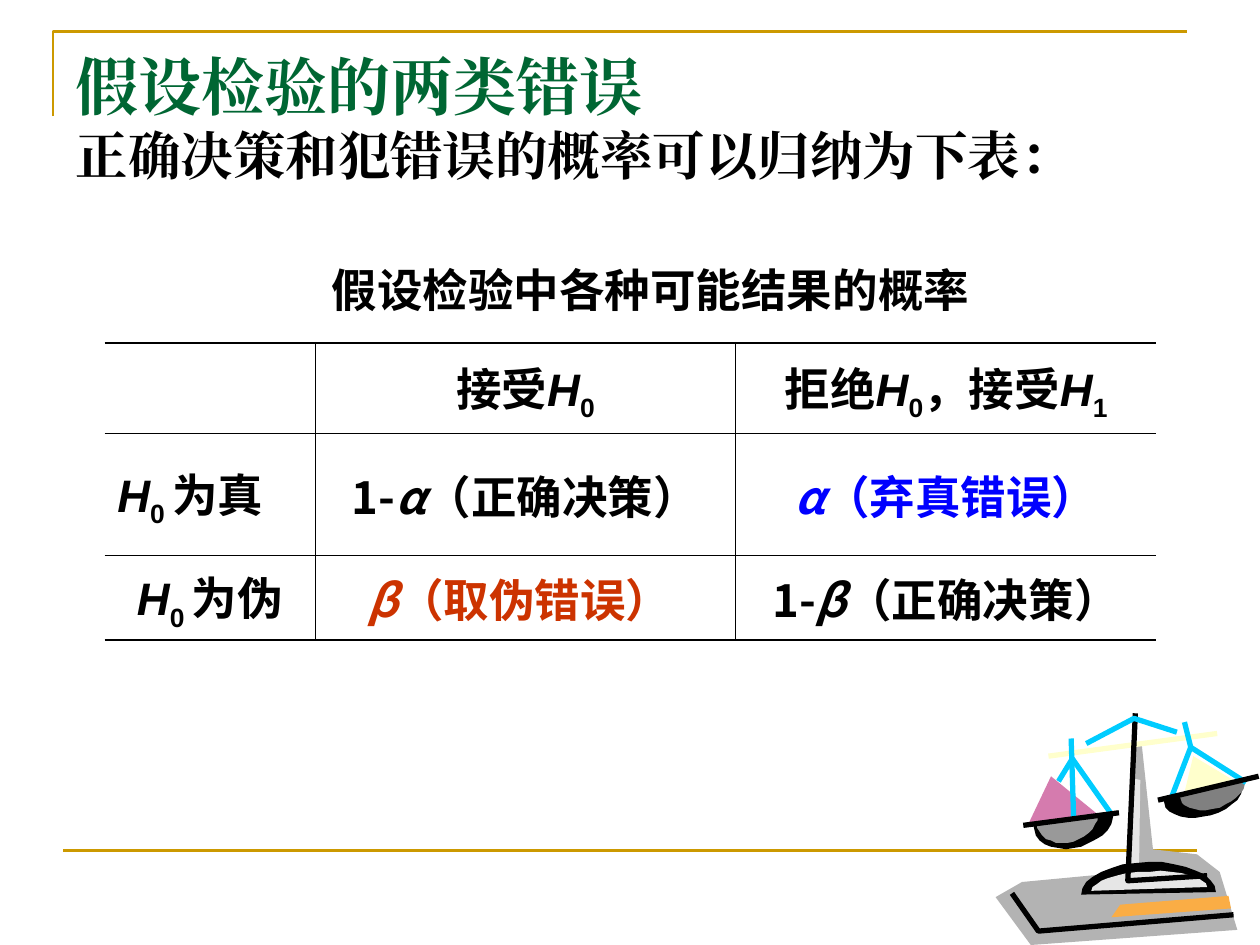
import math
from lxml import etree
from pptx import Presentation, util as u
from pptx.dml.color import RGBColor
from pptx.enum import shapes, text
from pptx.oxml.ns import qn

HUES = {
    "gold": "CC9900", "green": "006633", "ink": "000000", "blue": "0000FF",
    "red": "CC3300", "gray": "B3B3B3", "cream": "FFFFCC", "pale": "E6E6E6",
    "mid": "999999", "dark": "808080", "sky": "00CCFF", "pink": "D57BAE",
    "amber": "FAAD45",
}
SANS, SERIF, HAN = "Arial", "Times New Roman", "Noto Sans CJK SC"

KINDS = {
    "han": (HAN, False, 0),
    "greek": (HAN, True, 0),
    "var": (SANS, True, 0),
    "sub": (SANS, False, -25),
}
H, ZERO, ONE = ("H", "var"), ("0", "sub"), ("1", "sub")
GRID = [
    [("ink", []),
     ("ink", [("接受", "han"), H, ZERO]),
     ("ink", [("拒绝", "han"), H, ZERO, ("，接受", "han"), H, ONE])],
    [("ink", [H, ("0 ", "sub"), ("为真\t", "han")]),
     ("ink", [("1-", "han"), ("α", "greek"), ("（正确决策）", "han")]),
     ("blue", [("α", "greek"), ("（弃真错误）", "han")])],
    [("ink", [H, ("0 ", "sub"), ("为伪", "han")]),
     ("red", [("β", "greek"), ("（取伪错误）\t", "han")]),
     ("ink", [("1-", "han"), ("β", "greek"), ("（正确决策）", "han")])],
]

BLOCKS = [
    ("gray", [(106, 126), (21, 134), (0, 146), (28, 184), (192, 172),
              (178, 126), (160, 112), (125, 108), (116, 24), (110, 26)]),
    ("pale", [(111, 52), (115, 53), (114, 124), (106, 131)]),
    ("cream", [(157, 34), (149, 67), (192, 55)]),
    ("pink", [(44, 50), (25, 90), (82, 81)]),
    ("amber", [(99, 152), (92, 162), (187, 155), (185, 145)]),
]
BOWLS = [
    ("ink", (68, 144), (175, 142), -25),
    ("pale", (76, 141), (168, 138), -14),
    ("ink", (30, 89), (94, 79), 23),
    ("mid", (33, 87), (81, 81), 19),
    ("ink", (133, 67), (197, 56), 21),
    ("dark", (146, 65), (199, 53), 17),
]
RODS = [
    ("cream", [(42, 34), (176, 16)]),
    ("ink", [(111, 0), (105, 133), (168, 129)]),
    ("sky", [(72, 24), (110, 4), (144, 15)]),
    ("sky", [(50, 54), (61, 36), (92, 80)]),
    ("sky", [(60, 20), (62, 84)]),
    ("sky", [(140, 66), (155, 27), (199, 55)]),
    ("sky", [(150, 7), (155, 27)]),
    ("ink", [(22, 89), (98, 79)]),
    ("ink", [(129, 69), (209, 50)]),
    ("ink", [(13, 143), (34, 173), (189, 160)]),
]


def tint(name):
    return RGBColor.from_string(HUES[name])


def add_run(para, words, size, face, hue, slant=False, base=0):
    run = para.add_run()
    run.text = words
    font = run.font
    font.size, font.bold, font.italic = u.Pt(size), True, slant
    font.color.rgb = tint(hue)
    font.name = face
    props = run._r.get_or_add_rPr()
    etree.SubElement(props, qn("a:ea")).set("typeface", face)
    if base:
        props.set("baseline", str(base * 1000))


def set_box(shape, box):
    shape.left, shape.top, shape.width, shape.height = (u.Cm(n) for n in box)
    frame = shape.text_frame
    frame.word_wrap = True
    frame.auto_size = text.MSO_AUTO_SIZE.NONE
    return frame


def draw_frame(slide, box):
    left, top, width, height = box
    pen = slide.shapes.build_freeform(0, u.Cm(1.7))
    pen.add_line_segments([(0, 0), (u.Cm(width), 0)], close=False)
    edge = pen.convert_to_shape(u.Cm(left), u.Cm(top))
    edge.fill.background()
    edge.shadow.inherit = False
    foot = slide.shapes.add_connector(
        shapes.MSO_CONNECTOR.STRAIGHT, u.Cm(left + 0.2), u.Cm(top + height),
        u.Cm(left + 0.2 + width), u.Cm(top + height))
    for item in (edge, foot):
        item.line.color.rgb = tint("gold")
        item.line.width = u.Pt(1.5)
    etree.SubElement(foot._element.spPr, qn("a:effectLst"))


def fill_title(slide, box):
    frame = set_box(slide.shapes.title, box)
    frame.vertical_anchor = text.MSO_ANCHOR.MIDDLE
    para = frame.paragraphs[0]
    para.alignment = text.PP_ALIGN.LEFT
    add_run(para, "假设检验的两类错误", 36, SERIF, "green")
    para.add_line_break()
    add_run(para, "正确决策和犯错误的概率可以归纳为下表：", 30, SERIF, "ink")


def fill_body(slide, box):
    para = set_box(slide.placeholders[1], box).paragraphs[0]
    para.alignment = text.PP_ALIGN.CENTER
    para.space_before = u.Pt(6.5)
    props = para._p.get_or_add_pPr()
    props.set("marL", "0")
    props.set("indent", "0")
    etree.SubElement(props, qn("a:buNone"))
    add_run(para, "假设检验中各种可能结果的概率", 26, SANS, "ink")


def rule_cell(cell, sides):
    props = cell._tc.get_or_add_tcPr()
    for side, width in sides.items():
        edge = etree.SubElement(props, qn("a:ln" + side), w=str(u.Pt(width)))
        if width:
            fill = etree.SubElement(edge, qn("a:solidFill"))
            etree.SubElement(fill, qn("a:srgbClr"), val=HUES["ink"])
        else:
            etree.SubElement(edge, qn("a:noFill"))
    cell.fill.background()


def draw_table(slide, box):
    rows, cols = (1.83, 2.46, 1.7), (4.24, 8.48, 8.48)
    table = slide.shapes.add_table(3, 3, *(u.Cm(n) for n in box)).table
    table.first_row = table.horz_banding = False
    for row, tall in zip(table.rows, rows):
        row.height = u.Cm(tall)
    for col, wide in zip(table.columns, cols):
        col.width = u.Cm(wide)
    thin, thick = 0.45, 1.08
    for r, line in enumerate(GRID):
        for c, (hue, runs) in enumerate(line):
            cell = table.cell(r, c)
            rule_cell(cell, {"L": thin if c > 0 else 0, "R": thin if c < 2 else 0,
                             "T": thin if r > 0 else thick,
                             "B": thin if r < 2 else thick})
            cell.vertical_anchor = text.MSO_ANCHOR.MIDDLE
            para = cell.text_frame.paragraphs[0]
            para.alignment = text.PP_ALIGN.CENTER
            para.space_before = u.Pt(6.5)
            for words, kind in runs:
                face, slant, base = KINDS[kind]
                add_run(para, words, 26, face, hue, slant, base)


def bowl_curve(start, end, depth, steps=16):
    spots = []
    for step in range(steps + 1):
        turn = math.pi * step / steps
        part = (1 - math.cos(turn)) / 2
        x, y = (a + (b - a) * part for a, b in zip(start, end))
        spots.append((x, y + depth * math.sin(turn)))
    return spots


def draw_scale(slide, box):
    left, top, width = box
    unit = u.Cm(width) / 210
    group = slide.shapes.add_group_shape()

    def trace(spots, close):
        pen = group.shapes.build_freeform(*spots[0], scale=unit)
        pen.add_line_segments(spots[1:], close=close)
        part = pen.convert_to_shape(u.Cm(left), u.Cm(top))
        part.shadow.inherit = False
        return part

    curves = [(hue, bowl_curve(*bowl)) for hue, *bowl in BOWLS]
    for hue, spots in BLOCKS + curves:
        part = trace(spots, True)
        part.fill.solid()
        part.fill.fore_color.rgb = tint(hue)
        part.line.fill.background()
    for hue, spots in RODS:
        part = trace(spots, False)
        part.fill.background()
        part.line.color.rgb = tint(hue)
        part.line.width = u.Pt(3)


def main():
    deck = Presentation()
    deck.slide_width, deck.slide_height = u.Cm(25.4), u.Cm(19.05)
    slide = deck.slides.add_slide(deck.slide_layouts[1])
    draw_frame(slide, (1.07, 0.64, 22.86, 16.5))
    fill_title(slide, (1.27, 0.76, 23.44, 3.18))
    fill_body(slide, (2.11, 5.16, 22.02, 1.35))
    draw_table(slide, (2.11, 6.91, 21.2, 5.99))
    draw_scale(slide, (20.07, 14.38, 5.33))
    deck.save("out.pptx")


if __name__ == "__main__":
    main()
